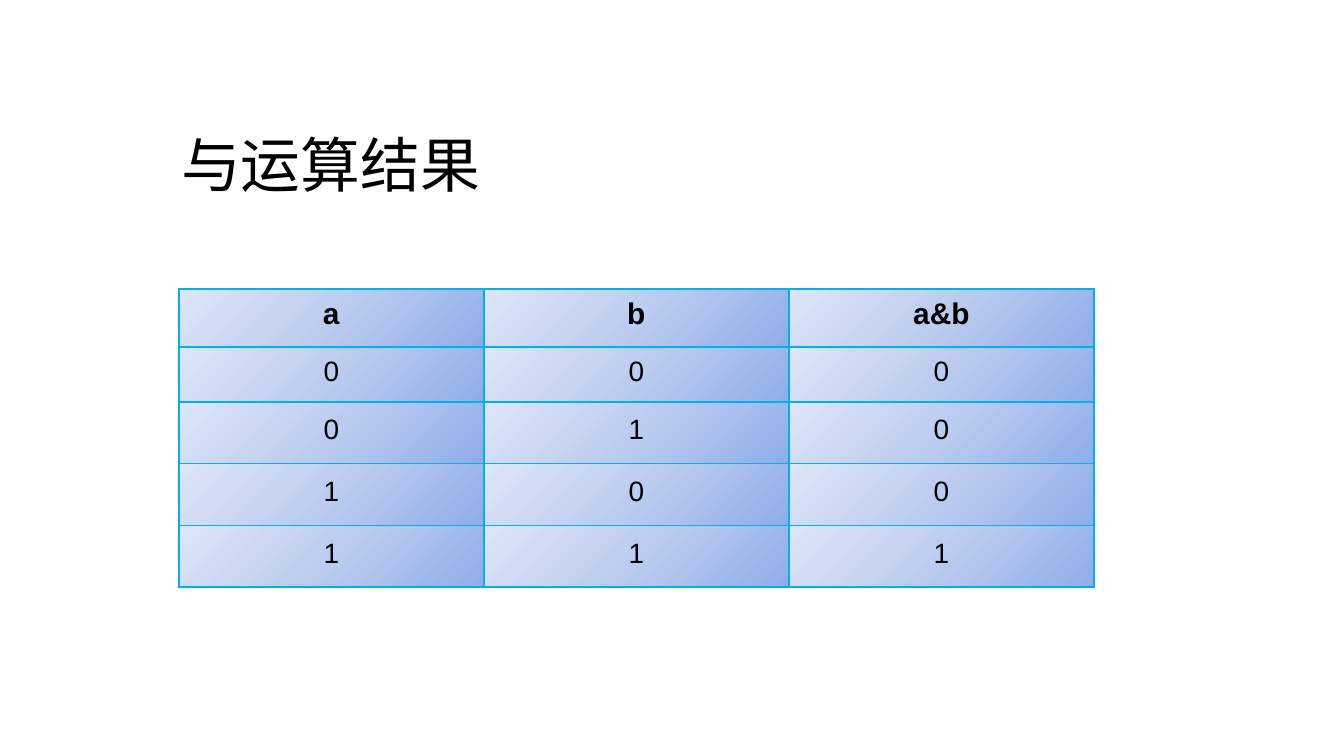
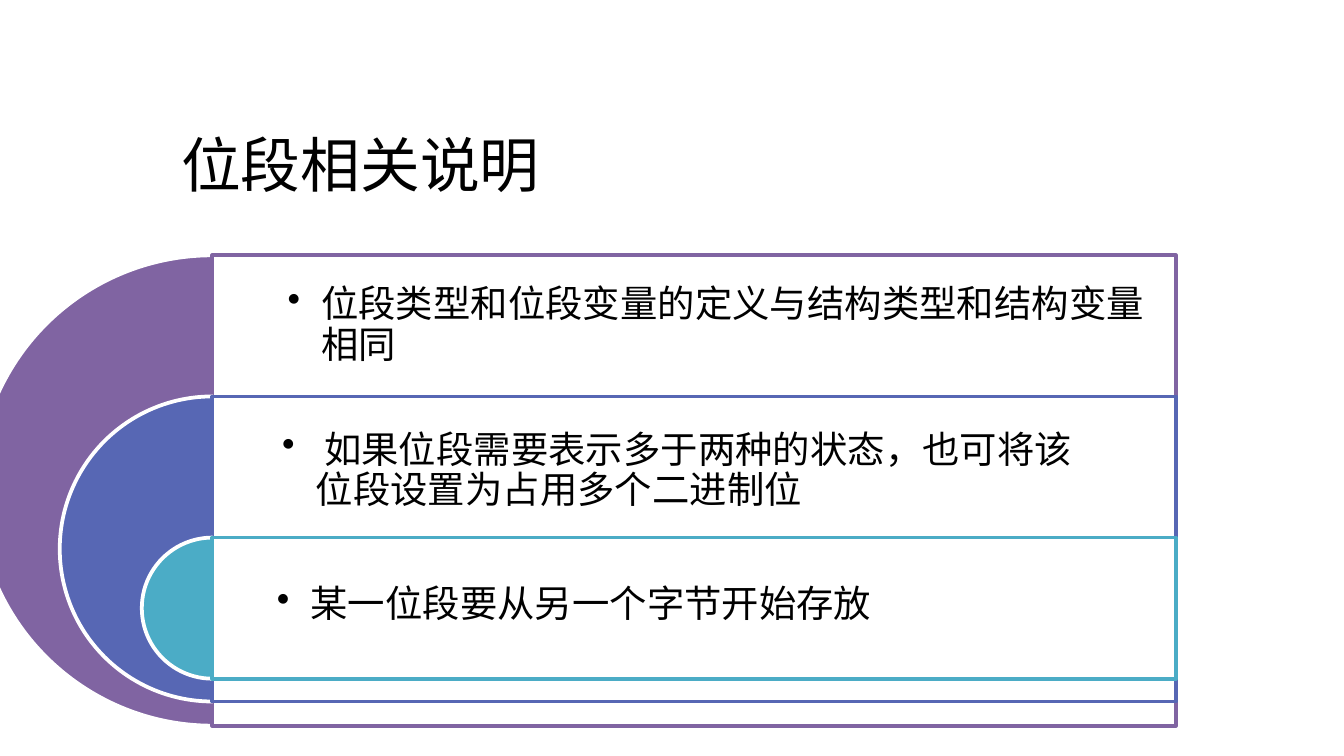
from dataclasses import dataclass

from lxml.etree import SubElement
from pptx import Presentation
from pptx.dml.color import RGBColor
from pptx.enum.shapes import MSO_SHAPE as Preset
from pptx.enum.text import MSO_ANCHOR as Anchor, PP_ALIGN as Align
from pptx.oxml.ns import qn
from pptx.util import Inches, Pt

BLACK = RGBColor(0x00, 0x00, 0x00)
WHITE = RGBColor(0xFF, 0xFF, 0xFF)
PURPLE = RGBColor(0x80, 0x64, 0xA2)
INDIGO = RGBColor(0x57, 0x67, 0xB4)
TEAL = RGBColor(0x4B, 0xAC, 0xC6)
SKY = RGBColor(0x00, 0xB0, 0xF0)
CELL_GRADIENT = (
    (0, RGBColor(0x8F, 0xAD, 0xE9)),
    (50, RGBColor(0xBC, 0xCC, 0xEF)),
    (100, RGBColor(0xDE, 0xE6, 0xF7)),
)
TITLE_FONT = "Calibri"
TABLE_FONT = "Arial"

TRUTH_TABLE = (
    ("a", "b", "a&b"),
    ("0", "0", "0"),
    ("0", "1", "0"),
    ("1", "0", "0"),
    ("1", "1", "1"),
)
ROW_HEIGHTS = (0.43, 0.41, 0.46, 0.46, 0.46)
COLUMN_WIDTH = 2.27

AXIS = 1.58
PANEL_WIDTH = 7.17
NOTE_HEIGHT = 1.05


@dataclass(frozen=True)
class Layer:
    top: float
    diameter: float
    color: RGBColor


@dataclass(frozen=True)
class Note:
    left: float
    top: float
    width: float
    text: str


LAYERS = (
    Layer(1.9, 3.5, PURPLE),
    Layer(2.95, 2.27, INDIGO),
    Layer(4, 1.05, TEAL),
)
NOTES = (
    Note(1.87, 1.9, 6.92, "位段类型和位段变量的定义与结构类型和结构变量相同"),
    Note(1.83, 2.98, 6.58, " 如果位段需要表示多于两种的状态，也可将该位段设置为占用多个二进制位"),
    Note(1.79, 3.98, 6.92, "某一位段要从另一个字节开始存放"),
)


def add_span(para, text: str, size: float, font: str, bold: bool = False) -> None:
    span = para.add_run()
    span.text = text
    span.font.size = Pt(size)
    span.font.name = font
    span.font.bold = bold
    span.font.color.rgb = BLACK


def add_page(deck, title: str, title_width: float):
    page = deck.slides.add_slide(deck.slide_layouts[6])
    box = page.shapes.add_textbox(
        Inches(1.25), Inches(0.9), Inches(title_width), Inches(0.67)
    )
    box.text_frame.word_wrap = True
    add_span(box.text_frame.paragraphs[0], title, 32, TITLE_FONT)
    return page


def add_solid(parent, color: RGBColor) -> None:
    solid = SubElement(parent, qn("a:solidFill"))
    SubElement(solid, qn("a:srgbClr"), val=str(color))


def style_cell(cell) -> None:
    properties = cell._tc.get_or_add_tcPr()
    for side in ("L", "R", "T", "B"):
        add_solid(SubElement(properties, qn(f"a:ln{side}"), w=str(Pt(1))), SKY)
    gradient = SubElement(properties, qn("a:gradFill"))
    stops = SubElement(gradient, qn("a:gsLst"))
    for position, color in CELL_GRADIENT:
        stop = SubElement(stops, qn("a:gs"), pos=str(position * 1000))
        SubElement(stop, qn("a:srgbClr"), val=str(color))
    SubElement(gradient, qn("a:lin"), ang=str(225 * 60000), scaled="0")


def add_truth_table(page) -> None:
    columns = len(TRUTH_TABLE[0])
    table = page.shapes.add_table(
        len(TRUTH_TABLE), columns, Inches(1.33), Inches(2.15),
        Inches(COLUMN_WIDTH * columns), Inches(sum(ROW_HEIGHTS)),
    ).table
    for column in table.columns:
        column.width = Inches(COLUMN_WIDTH)
    for index, (height, values) in enumerate(zip(ROW_HEIGHTS, TRUTH_TABLE)):
        table.rows[index].height = Inches(height)
        header = index == 0
        for cell, value in zip(table.rows[index].cells, values):
            cell.vertical_anchor = Anchor.MIDDLE
            cell.margin_left = cell.margin_right = Inches(0.07)
            cell.margin_top = cell.margin_bottom = 0
            para = cell.text_frame.paragraphs[0]
            para.alignment = Align.CENTER
            para.line_spacing = Pt(14)
            add_span(para, value, 16 if header else 15, TABLE_FONT, header)
            style_cell(cell)


def add_outlined(shapes, preset: Preset, left: float, top: float, width: float,
                 height: float, fill: RGBColor, line: RGBColor):
    shape = shapes.add_shape(
        preset, Inches(left), Inches(top), Inches(width), Inches(height)
    )
    shape.shadow.inherit = False
    shape.fill.solid()
    shape.fill.fore_color.rgb = fill
    shape.line.color.rgb = line
    shape.line.width = Pt(2)
    return shape


def add_layer(shapes, layer: Layer) -> None:
    size = layer.diameter
    half_disc = add_outlined(shapes, Preset.PIE, AXIS - size / 2, layer.top,
                             size, size, layer.color, WHITE)
    half_disc.adjustments[0] = 54
    half_disc.adjustments[1] = 162
    panel = add_outlined(shapes, Preset.RECTANGLE, AXIS, layer.top,
                         PANEL_WIDTH, size, WHITE, layer.color)
    color = panel._element.spPr.find(qn("a:solidFill")).find(qn("a:srgbClr"))
    SubElement(color, qn("a:alpha"), val="90000")


def add_note(shapes, note: Note) -> None:
    box = shapes.add_textbox(
        Inches(note.left), Inches(note.top), Inches(note.width), Inches(NOTE_HEIGHT)
    )
    frame = box.text_frame
    frame.word_wrap = True
    frame.vertical_anchor = Anchor.MIDDLE
    frame.margin_left = frame.margin_right = Inches(0.27)
    frame.margin_top = frame.margin_bottom = Inches(0.27)
    para = frame.paragraphs[0]
    para.level = 1
    para.line_spacing = 0.9
    para.space_after = Pt(3)
    properties = para._p.get_or_add_pPr()
    properties.set("marL", str(Inches(0.25)))
    properties.set("indent", str(Inches(-0.25)))
    SubElement(properties, qn("a:buChar"), char="••")
    add_span(para, note.text, 20, TITLE_FONT)


def main() -> None:
    deck = Presentation()
    deck.slide_width = Inches(10)
    deck.slide_height = deck.slide_width * 9 // 16

    add_truth_table(add_page(deck, "与运算结果", 6.08))

    page = add_page(deck, "位段相关说明", 3.58)
    diagram = page.shapes.add_group_shape()
    for layer in LAYERS:
        add_layer(diagram.shapes, layer)
    for note in NOTES:
        add_note(diagram.shapes, note)

    deck.save("out.pptx")


if __name__ == "__main__":
    main()
